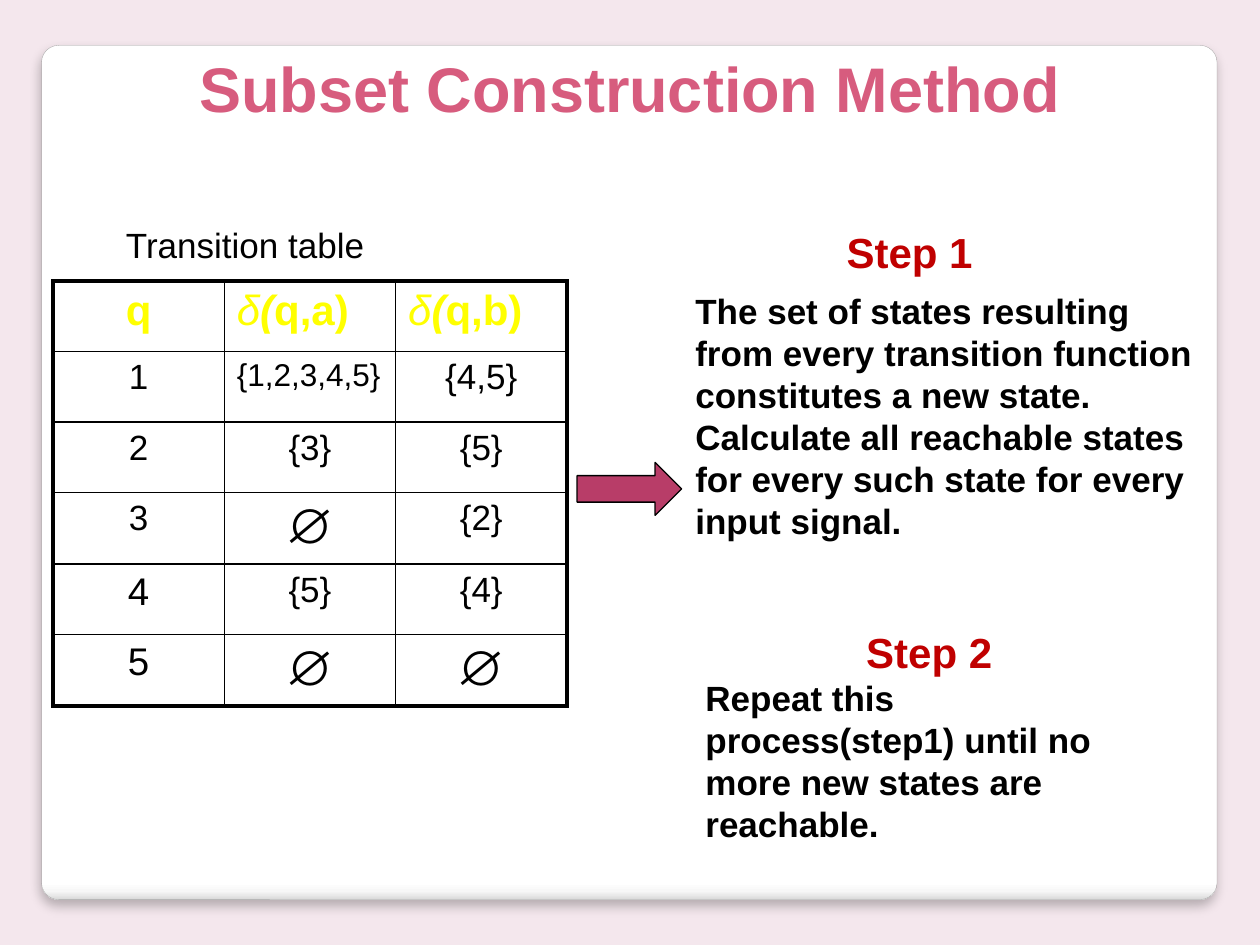
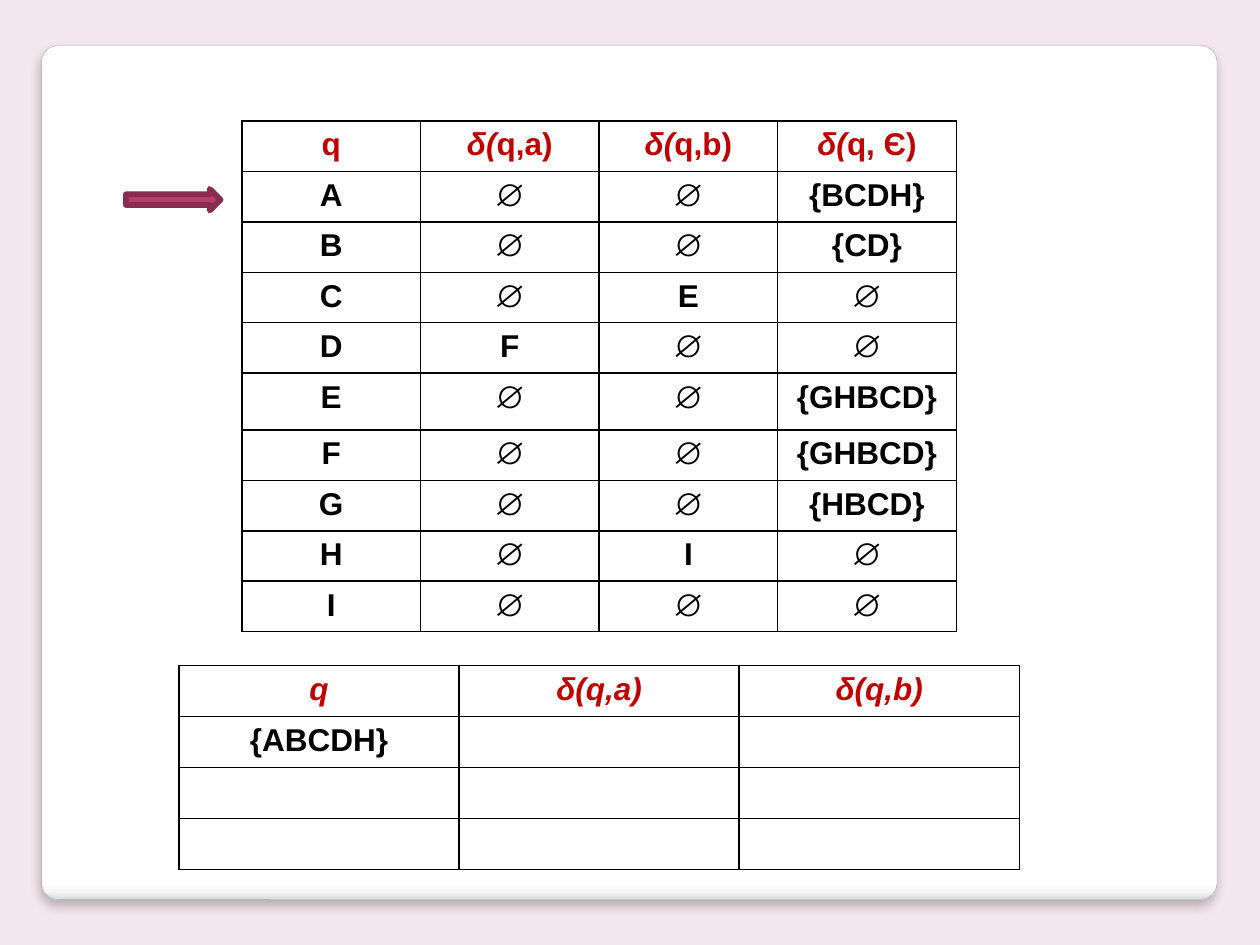
from lxml.etree import SubElement
from pptx import Presentation
from pptx.dml.color import RGBColor
from pptx.enum.shapes import MSO_SHAPE
from pptx.enum.text import MSO_AUTO_SIZE, PP_ALIGN
from pptx.oxml import parse_xml
from pptx.oxml.ns import nsdecls, qn
from pptx.util import Inches, Pt

BACKDROP = RGBColor(0xF4, 0xE7, 0xED)
PANEL_EDGE = RGBColor(0xA4, 0xA4, 0xA4)
WHITE = RGBColor(0xFF, 0xFF, 0xFF)
BLACK = RGBColor(0x00, 0x00, 0x00)
ROSE = RGBColor(0xD7, 0x5C, 0x7E)
BERRY = RGBColor(0xB8, 0x3D, 0x68)
DARK_BERRY = RGBColor(0x88, 0x2D, 0x4D)
RED = RGBColor(0xC0, 0x00, 0x00)
YELLOW = RGBColor(0xFF, 0xFF, 0x00)

PANEL_STOPS = ((0, "FFFFFF"), (98, "FFFFFF"), (99, "F7F7F7"), (100, "DADADA"))
EMPTY = "∅"


class Deck:
    font = "Arial"

    def __init__(self):
        self.presentation = Presentation()
        self.presentation.slide_width = Inches(10)
        self.presentation.slide_height = Inches(7.5)
        self.slide = None

    def add_slide(self):
        layout = self.presentation.slide_layouts[6]
        self.slide = self.presentation.slides.add_slide(layout)
        background = self.slide.background.fill
        background.solid()
        background.fore_color.rgb = BACKDROP
        self.add_panel()

    def add_shape(self, kind, box, fill, line, line_width):
        shape = self.slide.shapes.add_shape(kind, *map(Inches, box))
        shape.shadow.inherit = False
        shape.fill.solid()
        shape.fill.fore_color.rgb = fill
        shape.line.color.rgb = line
        shape.line.width = Pt(line_width)
        return shape

    def add_panel(self):
        panel = self.add_shape(
            MSO_SHAPE.ROUNDED_RECTANGLE, (0.33, 0.36, 9.33, 6.78), WHITE, PANEL_EDGE, 0.16
        )
        panel.adjustments[0] = 0.02
        properties = panel.element.spPr
        stops = "".join(
            f'<a:gs pos="{position * 1000}"><a:srgbClr val="{color}"/></a:gs>'
            for position, color in PANEL_STOPS
        )
        gradient = parse_xml(
            f'<a:gradFill {nsdecls("a")}><a:gsLst>{stops}</a:gsLst>'
            '<a:lin ang="5400000" scaled="0"/></a:gradFill>'
        )
        properties.replace(properties.find(qn("a:solidFill")), gradient)
        shadow = SubElement(
            properties.find(qn("a:effectLst")), qn("a:outerShdw"),
            blurRad=str(Pt(6)), dist=str(Pt(4)), dir="5400000", rotWithShape="0",
        )
        color = SubElement(shadow, qn("a:srgbClr"), val="000000")
        SubElement(color, qn("a:alpha"), val="25000")

    def add_arrow(self, box, line, line_width):
        self.add_shape(MSO_SHAPE.RIGHT_ARROW, box, BERRY, line, line_width)

    def fill_paragraph(self, paragraph, text, size, color=BLACK, bold=True, align=PP_ALIGN.LEFT):
        pieces = [(text, bold, False)] if isinstance(text, str) else text
        paragraph.alignment = align
        for words, is_bold, is_italic in pieces:
            run = paragraph.add_run()
            run.text = words
            run.font.name = self.font
            run.font.size = Pt(size)
            run.font.color.rgb = color
            run.font.bold = is_bold
            run.font.italic = is_italic

    def add_text(self, box, *lines, wrap=True, left_inset=0.1, top_inset=0.05):
        frame = self.slide.shapes.add_textbox(*map(Inches, box)).text_frame
        frame.word_wrap = wrap
        frame.auto_size = MSO_AUTO_SIZE.SHAPE_TO_FIT_TEXT
        frame.margin_left = Inches(left_inset)
        frame.margin_top = Inches(top_inset)
        for index, line in enumerate(lines):
            paragraph = frame.add_paragraph() if index else frame.paragraphs[0]
            self.fill_paragraph(paragraph, **line)

    def add_table(self, box, rows, cell_style, edge=1, fill=None, row_heights=None):
        row_count, column_count = len(rows), len(rows[0])
        table = self.slide.shapes.add_table(
            row_count, column_count, *map(Inches, box)
        ).table
        table.first_row = table.horz_banding = False
        for index, height in (row_heights or {}).items():
            table.rows[index].height = Inches(height)
        for row, texts in enumerate(rows):
            for column, text in enumerate(texts):
                cell = table.cell(row, column)
                self.set_borders(cell, {
                    "L": 1 if column else edge,
                    "R": 1 if column < column_count - 1 else edge,
                    "T": 1 if row else edge,
                    "B": 1 if row < row_count - 1 else edge,
                })
                if fill is None:
                    cell.fill.background()
                else:
                    cell.fill.solid()
                    cell.fill.fore_color.rgb = fill
                if text:
                    style = cell_style(row, column, text)
                    self.fill_paragraph(cell.text_frame.paragraphs[0], text, **style)

    def set_borders(self, cell, widths):
        properties = cell._tc.get_or_add_tcPr()
        for side, width in widths.items():
            line = SubElement(properties, qn(f"a:ln{side}"), w=str(Pt(width)))
            fill = SubElement(line, qn("a:solidFill"))
            SubElement(fill, qn("a:srgbClr"), val=str(BLACK))


def transition_style(row, column, text):
    if row == 0:
        align = PP_ALIGN.LEFT if column else PP_ALIGN.CENTER
        return dict(size=24, color=YELLOW, align=align)
    if text == "{1,2,3,4,5}":
        return dict(size=18, bold=False)
    size = {EMPTY: 28, "4": 22, "5": 22}.get(text, 20)
    return dict(size=size, bold=False, align=PP_ALIGN.CENTER)


def closure_style(row, column, text):
    return dict(size=18, color=BLACK if row else RED, align=PP_ALIGN.CENTER)


def build_method_slide(deck):
    deck.add_slide()
    deck.add_text(
        (0.8, 1.67, 3.53, 0.75), dict(text="Transition table", size=20, bold=False),
        left_inset=0.2, top_inset=0.1,
    )
    headers = ["q"] + [
        [("δ", False, True), ("(", True, True), (f"q,{symbol})", True, False)]
        for symbol in "ab"
    ]
    deck.add_table(
        (0.42, 2.23, 4.08, 3.36),
        [
            headers,
            ["1", "{1,2,3,4,5}", "{4,5}"],
            ["2", "{3}", "{5}"],
            ["3", EMPTY, "{2}"],
            ["4", "{5}", "{4}"],
            ["5", EMPTY, EMPTY],
        ],
        transition_style, edge=2.25,
    )
    deck.add_arrow((4.58, 3.67, 0.83, 0.42), BLACK, 0.75)
    deck.add_text(
        (1.45, 0.34, 7.1, 0.71),
        dict(text="Subset Construction Method", size=36, color=ROSE, align=PP_ALIGN.CENTER),
        wrap=False,
    )
    deck.add_text(
        (6.62, 1.75, 1.21, 0.5), dict(text="Step 1", size=24, color=RED), wrap=False
    )
    deck.add_text(
        (5.42, 2.25, 4.25, 2.12),
        dict(
            text="The set of states resulting from every transition function "
            "constitutes a new state. Calculate all reachable states for every "
            "such state for every input signal.",
            size=20,
        ),
    )
    deck.add_text(
        (5.5, 4.92, 3.75, 1.51),
        dict(text="Step 2", size=24, color=RED, align=PP_ALIGN.CENTER),
        dict(
            text="Repeat this process(step1) until no more new states are reachable.",
            size=20,
        ),
    )


def build_closure_slide(deck):
    deck.add_slide()
    headers = ["q"] + [
        [("δ(", True, True), (f"{arguments})", True, False)]
        for arguments in ("q,a", "q,b", "q, Є")
    ]
    deck.add_table(
        (1.92, 0.96, 5.67, 3.92),
        [
            headers,
            ["A", EMPTY, EMPTY, "{BCDH}"],
            ["B", EMPTY, EMPTY, "{CD}"],
            ["C", EMPTY, "E", EMPTY],
            ["D", "F", EMPTY, EMPTY],
            ["E", EMPTY, EMPTY, "{GHBCD}"],
            ["F", EMPTY, EMPTY, "{GHBCD}"],
            ["G", EMPTY, EMPTY, "{HBCD}"],
            ["H", EMPTY, "I", EMPTY],
            ["I", EMPTY, EMPTY, EMPTY],
        ],
        closure_style, fill=WHITE, row_heights={5: 0.45},
    )
    deck.add_table(
        (1.42, 5.28, 6.67, 1.62),
        [
            [[(text, True, True)] for text in ("q", "δ(q,a)", "δ(q,b)")],
            ["{ABCDH}", "", ""],
            ["", "", ""],
            ["", "", ""],
        ],
        closure_style, fill=WHITE,
    )
    deck.add_arrow((1, 1.5, 0.75, 0.17), DARK_BERRY, 3.35)


def main():
    deck = Deck()
    build_method_slide(deck)
    build_closure_slide(deck)
    deck.presentation.save("out.pptx")


if __name__ == "__main__":
    main()
